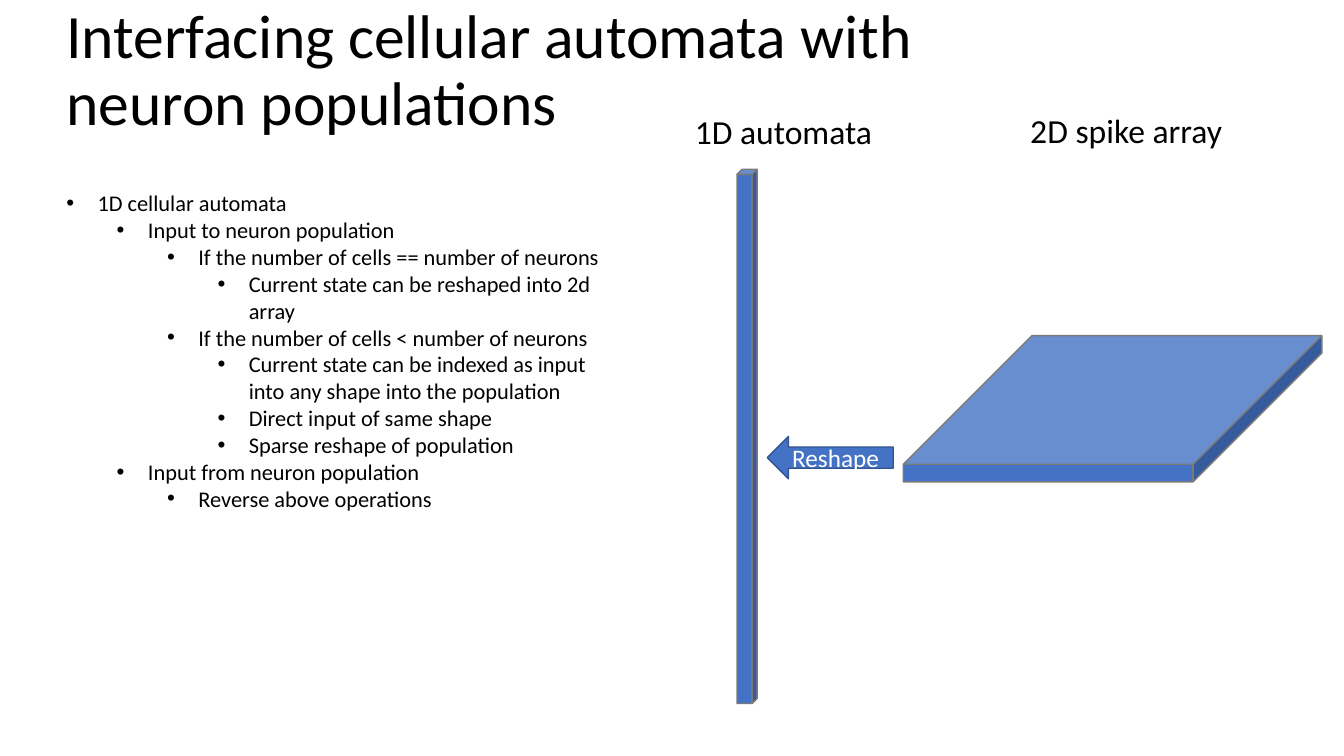
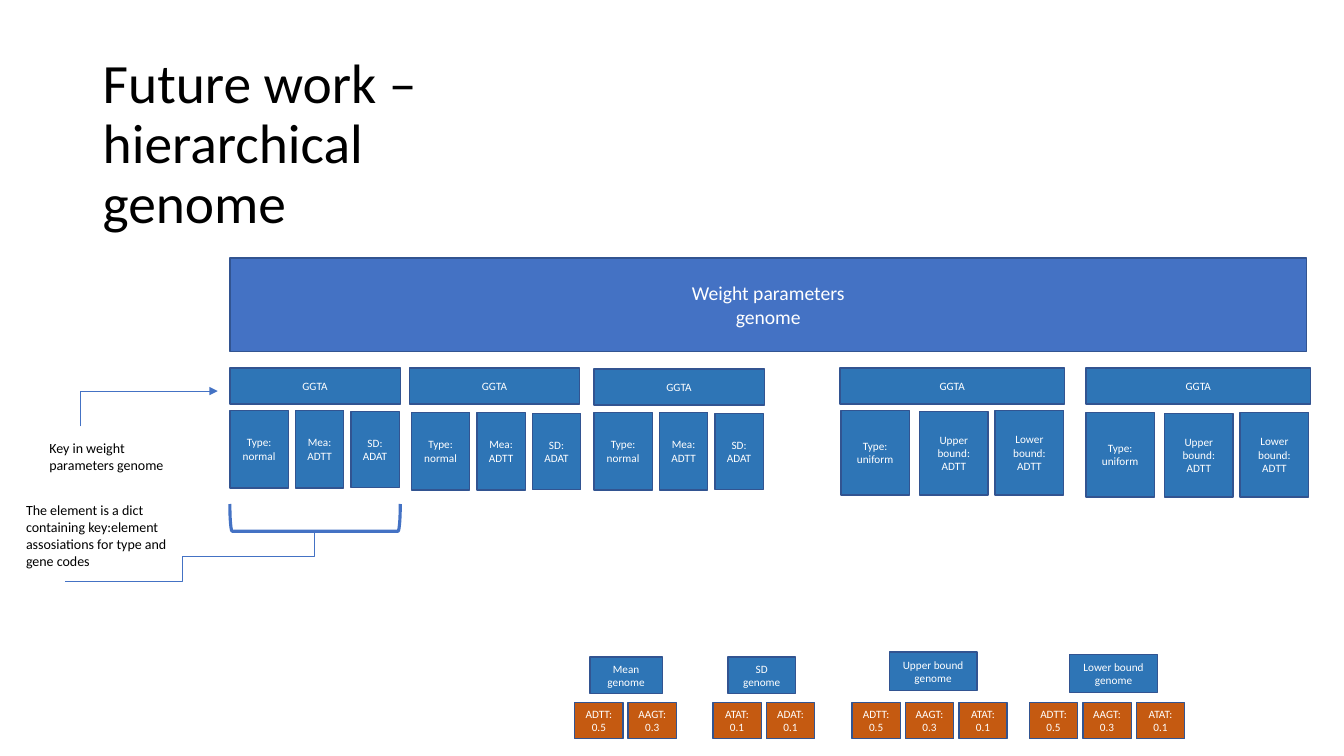
from pptx import Presentation
from pptx.dml.color import RGBColor
from pptx.enum.shapes import MSO_CONNECTOR, MSO_SHAPE
from pptx.enum.text import MSO_ANCHOR, MSO_AUTO_SIZE, PP_ALIGN
from pptx.oxml.ns import qn
from pptx.util import Inches, Pt
from lxml.etree import SubElement

BLACK = RGBColor(0x00, 0x00, 0x00)
WHITE = RGBColor(0xFF, 0xFF, 0xFF)
BLUE = RGBColor(0x44, 0x72, 0xC4)
TEAL = RGBColor(0x2E, 0x75, 0xB6)
NAVY = RGBColor(0x32, 0x54, 0x91)
RUST = RGBColor(0xC5, 0x5A, 0x11)
GREY = RGBColor(0x7A, 0x7A, 0x7A)

BULLETS = [
    (0, "1D cellular automata"),
    (1, "Input to neuron population"),
    (2, "If the number of cells == number of neurons"),
    (3, "Current state can be reshaped into 2d array"),
    (2, "If the number of cells < number of neurons"),
    (3, "Current state can be indexed as input into any shape into the population"),
    (3, "Direct input of same shape"),
    (3, "Sparse reshape of population"),
    (1, "Input from neuron population"),
    (2, "Reverse above operations"),
]

# Cells of a gene: offset, drop, width, height, text
NORMAL = [
    (0, 0, 0.58, 0.77, "Type: normal"),
    (0.65, 0, 0.48, 0.77, "Mea: ADTT"),
    (1.2, 0.01, 0.48, 0.76, "SD:\nADAT"),
]
UNIFORM = [
    (0, 0, 0.68, 0.84, "Type: uniform"),
    (0.78, 0.01, 0.68, 0.83, "Upper bound:\nADTT"),
    (1.53, 0, 0.68, 0.84, "Lower bound: ADTT"),
]
# Head left, head top, head width, cell left, cell top, cells
GENES = [
    (2.28, 3.65, 1.69, 2.28, 4.07, NORMAL),
    (4.06, 3.65, 1.69, 4.08, 4.09, NORMAL),
    (5.89, 3.66, 1.69, 5.89, 4.09, NORMAL),
    (8.33, 3.65, 2.23, 8.34, 4.07, UNIFORM),
    (10.77, 3.65, 2.23, 10.77, 4.09, UNIFORM),
]
BOUNDS = ["ADTT: 0.5", "AAGT: 0.3", "ATAT: 0.1"]
# Head box, head text, left of the first code, codes
POOLS = [
    ((5.85, 6.52, 0.72, 0.36), "Mean genome", 5.7, BOUNDS[:2]),
    ((7.22, 6.52, 0.67, 0.36), "SD genome", 7.07, ["ATAT: 0.1", "ADAT: 0.1"]),
    ((8.82, 6.47, 0.87, 0.38), "Upper bound genome", 8.45, BOUNDS),
    ((10.61, 6.49, 0.87, 0.38), "Lower bound genome", 10.21, BOUNDS),
]


class Deck:
    """Holds the shared style and the current slide."""

    def __init__(self):
        self.prs = Presentation()
        self.prs.slide_width = Inches(13.33)
        self.prs.slide_height = Inches(7.5)
        self.font = "Calibri"
        self.slide = None

    def page(self, title, box, size):
        self.slide = self.prs.slides.add_slide(self.prs.slide_layouts[6])
        frame = self.text(title, box, size).text_frame
        frame.auto_size = MSO_AUTO_SIZE.NONE
        frame.vertical_anchor = MSO_ANCHOR.MIDDLE
        frame.paragraphs[0].line_spacing = 0.9

    def style(self, par, size, color, align):
        par.alignment = align
        par.font.name = self.font
        par.font.size = Pt(size)
        par.font.color.rgb = color

    def text(self, text, box, size, align=PP_ALIGN.LEFT):
        shape = self.slide.shapes.add_textbox(*map(Inches, box))
        frame = shape.text_frame
        frame.word_wrap = True
        frame.auto_size = MSO_AUTO_SIZE.SHAPE_TO_FIT_TEXT
        frame.text = text
        for par in frame.paragraphs:
            self.style(par, size, BLACK, align)
        return shape

    def bullets(self, items, box, size):
        lines = "\n".join(text for _, text in items)
        frame = self.text(lines, box, size).text_frame
        for par, (level, _) in zip(frame.paragraphs, items):
            par.level = level
            props = par._p.get_or_add_pPr()
            props.set("marL", str(Inches(0.31 + level * 0.5)))
            props.set("indent", str(Inches(-0.31)))
            mark = SubElement(props, qn("a:buFont"))
            mark.set("typeface", "Arial")
            # The bullet must come before the default run style
            SubElement(props, qn("a:buChar")).set("char", "•")
            for style in props.findall(qn("a:defRPr")):
                props.append(style)

    def shape(self, kind, box, fill=None, line=NAVY, width=1):
        shape = self.slide.shapes.add_shape(kind, *map(Inches, box))
        shape.shadow.inherit = False
        if fill is None:
            shape.fill.background()
        else:
            shape.fill.solid()
            shape.fill.fore_color.rgb = fill
        shape.line.color.rgb = line
        shape.line.width = Pt(width)
        return shape

    def label(self, text, box, fill=TEAL, size=8, kind=MSO_SHAPE.RECTANGLE):
        frame = self.shape(kind, box, fill).text_frame
        frame.word_wrap = True
        frame.vertical_anchor = MSO_ANCHOR.MIDDLE
        frame.text = text
        for par in frame.paragraphs:
            self.style(par, size, WHITE, PP_ALIGN.CENTER)

    def elbow(self, ends, bends, turn=0, arrow=False):
        """Draw a bent line; bends are fractions of its width and height."""
        link = self.slide.shapes.add_connector(
            MSO_CONNECTOR.ELBOW, *map(Inches, ends))
        link.line.color.rgb = BLUE
        link.line.width = Pt(0.5)
        props = link._element.spPr
        props.find(qn("a:xfrm")).set("rot", str(turn * 60000))
        geom = props.find(qn("a:prstGeom"))
        geom.set("prst", f"bentConnector{len(bends) + 2}")
        guides = geom.find(qn("a:avLst"))
        if guides is None:
            guides = SubElement(geom, qn("a:avLst"))
        for num, bend in enumerate(bends, 1):
            guide = SubElement(guides, qn("a:gd"))
            guide.set("name", f"adj{num}")
            guide.set("fmla", f"val {round(bend * 100000)}")
        if arrow:
            tip = SubElement(props.find(qn("a:ln")), qn("a:tailEnd"))
            tip.set("type", "triangle")
        SubElement(props, qn("a:effectLst"))

    def gene(self, left, top, width, x, y, cells):
        self.label("GGTA", (left, top, width, 0.36))
        for shift, drop, wide, high, text in cells:
            self.label(text, (x + shift, y + drop, wide, high))

    def pool(self, box, head, left, codes):
        self.label(head, box)
        for num, code in enumerate(codes):
            self.label(code, (left + num * 0.53, 6.97, 0.48, 0.36), RUST)


def automata(deck):
    deck.page("Interfacing cellular automata with neuron populations",
              (0.56, -0.01, 10.02, 1.45), 44)
    deck.bullets(BULLETS, (0.56, 1.83, 5.6, 3.64), 16)
    deck.shape(MSO_SHAPE.CUBE, (7.31, 1.68, 0.2, 5.3), BLUE, GREY)
    slab = deck.shape(MSO_SHAPE.CUBE, (8.96, 3.33, 4.15, 1.45), BLUE, GREY)
    slab.adjustments[0] = 0.88
    deck.label("Reshape", (7.61, 4.33, 1.25, 0.42), BLUE, 18,
               MSO_SHAPE.LEFT_ARROW)
    deck.text("1D automata", (6.58, 1.05, 2.38, 0.5), 24, PP_ALIGN.CENTER)
    deck.text("2D spike array", (9.44, 1.04, 3.46, 0.5), 24, PP_ALIGN.CENTER)


def genome(deck):
    deck.page("Future work – hierarchical genome",
              (0.92, 0.72, 3.89, 1.45), 39.6)
    deck.label("Weight parameters\ngenome", (2.28, 2.56, 10.68, 0.93), BLUE, 14)
    for gene in GENES:
        deck.gene(*gene)
    for pool in POOLS:
        deck.pool(*pool)
    deck.elbow((0.8, 4.23, 2.16, 3.88), [0], arrow=True)
    deck.text("Key in weight parameters genome", (0.39, 4.31, 1.48, 0.44), 10)
    brace = deck.shape(MSO_SHAPE.LEFT_BRACKET, (2.99, 4.29, 0.27, 1.69),
                       line=BLUE, width=2.25)
    brace.rotation = 270
    deck.elbow((1.63, 4.28, 2.13, 6.75), [0.5, 0.53], turn=90)
    deck.text("The element is a dict containing key:element assosiations "
              "for type and gene codes", (0.16, 4.93, 1.84, 0.77), 10)


def main():
    deck = Deck()
    automata(deck)
    genome(deck)
    deck.prs.save("out.pptx")


if __name__ == "__main__":
    main()
